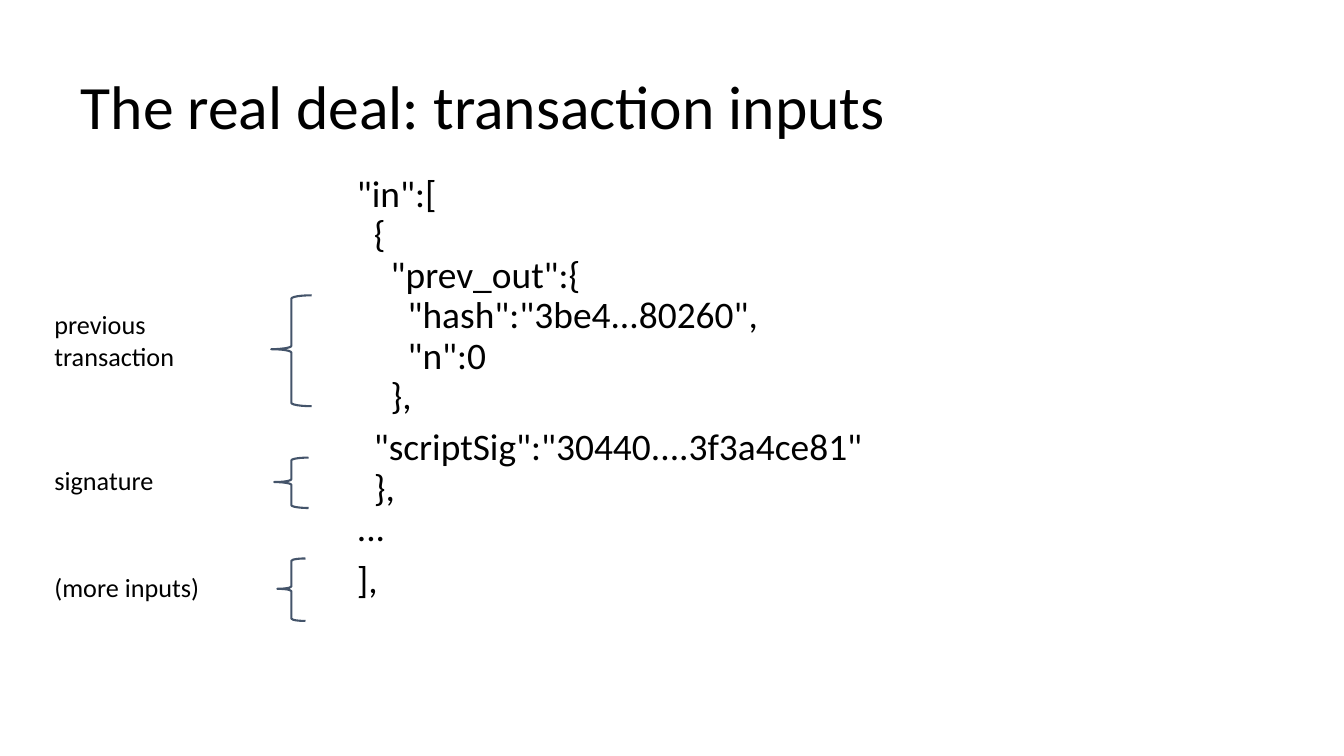
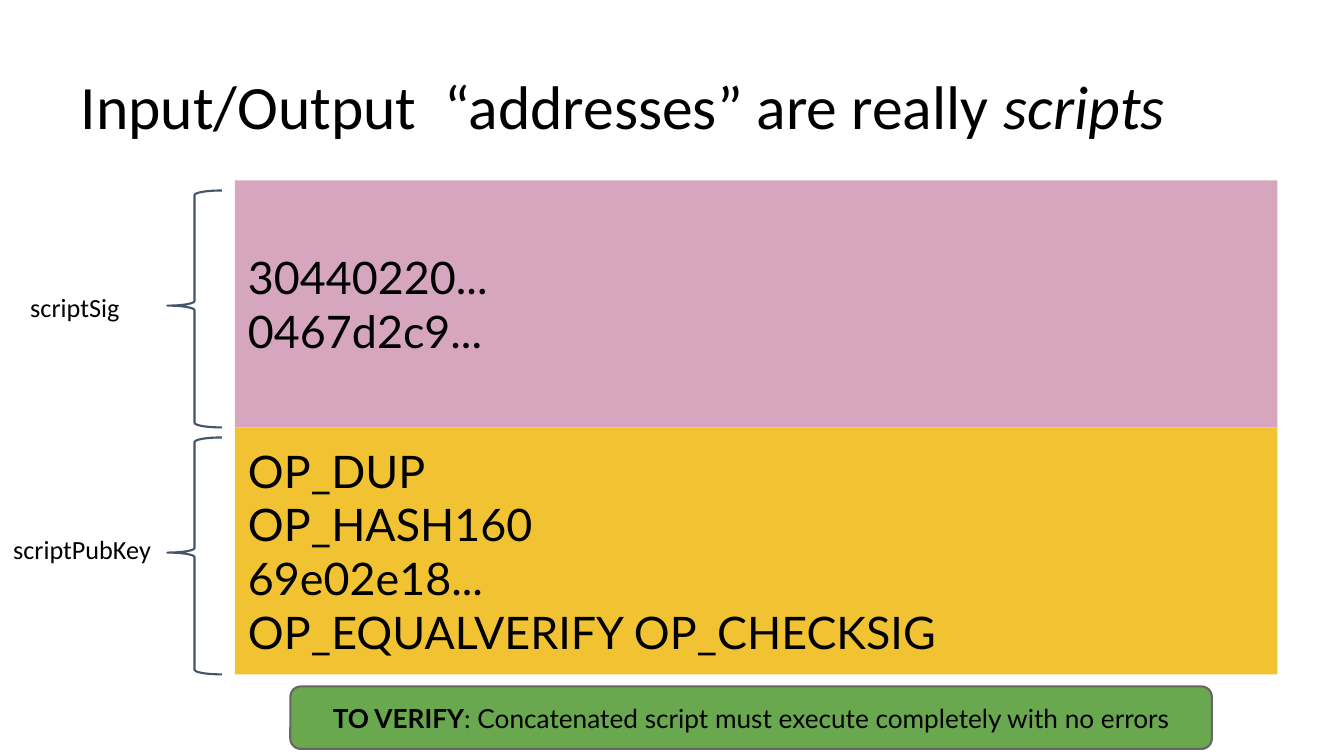
from pptx import Presentation
from pptx.dml.color import RGBColor
from pptx.enum.shapes import MSO_SHAPE
from pptx.enum.text import MSO_ANCHOR, PP_ALIGN
from pptx.util import Inches, Pt

RECTANGLE = MSO_SHAPE.RECTANGLE
ROUNDED = MSO_SHAPE.ROUNDED_RECTANGLE
LEFT_BRACE = MSO_SHAPE.LEFT_BRACE
TOP, MIDDLE, BOTTOM = MSO_ANCHOR.TOP, MSO_ANCHOR.MIDDLE, MSO_ANCHOR.BOTTOM
LEFT, CENTER = PP_ALIGN.LEFT, PP_ALIGN.CENTER

BLACK, SLATE, GRAY = "000000", "44546A", "666666"
PINK, GOLD, GREEN = "D5A6BD", "F1C232", "6AA84F"
TITLE = {"name": "Calibri", "size": Pt(44)}
CODE = {"name": "Calibri", "size": Pt(26.7)}
LABEL = {"name": "Calibri", "size": Pt(18.7)}
SCRIPT = {"name": "Lato", "size": Pt(32)}
NOTE = {"name": "Lato", "size": Pt(18.7)}
TIGHT = {"line_spacing": 0.9}
INSET = Inches(0.13)


def color(value):
    """Turn a hex string into a colour."""
    return RGBColor.from_string(value)


def apply(target, values):
    """Set every attribute named in a dict of format values."""
    for name, value in values.items():
        setattr(target, name, value)


def write(shape, paragraphs, font, layout=None, anchor=TOP, gap=0):
    """Fill a shape with paragraphs, each a list of (text, extra font values)."""
    frame = shape.text_frame
    apply(frame, {"word_wrap": True, "vertical_anchor": anchor,
                  "margin_left": INSET, "margin_right": INSET,
                  "margin_top": INSET, "margin_bottom": INSET})
    for index, spans in enumerate(paragraphs):
        para = frame.add_paragraph() if index else frame.paragraphs[0]
        apply(para, {"alignment": LEFT, **(layout or {})})
        if index and gap:
            para.space_before = Pt(gap)
        for text, extra in spans:
            for number, line in enumerate(text.split("\n")):
                if number:
                    para.add_line_break()
                span = para.add_run()
                span.text = line
                apply(span.font, {**font, **extra})
                span.font.color.rgb = color(BLACK)


def plain(*texts):
    """Make unformatted paragraphs from strings."""
    return [[(text, {})] for text in texts]


def add_text(page, box, paragraphs, font, **options):
    """Add a text box."""
    shape = page.shapes.add_textbox(*map(Inches, box))
    write(shape, paragraphs, font, **options)


def add_block(page, kind, box, fill=None, line=None):
    """Add a preset shape with optional fill and outline."""
    shape = page.shapes.add_shape(kind, *map(Inches, box))
    shape.shadow.inherit = False
    if fill:
        shape.fill.solid()
        shape.fill.fore_color.rgb = color(fill)
    else:
        shape.fill.background()
    if line:
        shape.line.color.rgb = color(line)
        shape.line.width = Pt(1.5)
    else:
        shape.line.fill.background()
    return shape


def add_brace(page, box):
    """Add a left brace pointing at a label."""
    brace = add_block(page, LEFT_BRACE, box, line=SLATE)
    brace.adjustments[0] = 0.083
    brace.adjustments[1] = 0.486


def add_page(deck, title):
    """Add a blank page with the shared title style."""
    page = deck.slides.add_slide(deck.slide_layouts[6])
    add_text(page, (0.67, 0.3, 12.32, 1.25), [title], TITLE,
             layout=TIGHT, anchor=BOTTOM)
    return page


def add_code(page, box):
    """Place the transaction input listing."""
    listing = plain(
        '"in":[\n  {\n    "prev_out":{\n      "hash":"3be4...80260",\n'
        '      "n":0\n    },',
        '  "scriptSig":"30440....3f3a4ce81"\n  },\n...',
        "],")
    add_text(page, box, listing, CODE, layout=TIGHT, gap=8)


def add_input_part(page, box, lines, brace_width, lift=0):
    """Place a label at the left of a box and a brace centred near its right."""
    left, top, width, height = box
    add_text(page, (left, top - lift, 1.94, 0.76), plain(*lines), LABEL)
    center = left + width
    add_brace(page, (center - brace_width / 2, top, brace_width, height))


def add_script_band(page, box, fill, lines, label, label_box):
    """Place a filled script band with a brace and a label to its left."""
    left, top, width, height = box
    band = add_block(page, RECTANGLE, box, fill)
    write(band, plain(*lines), SCRIPT, anchor=MIDDLE)
    add_brace(page, (left - 0.67, top + 0.1, 0.54, height - 0.1))
    label_left, label_drop, label_width = label_box
    add_text(page, (left + label_left, top + label_drop, label_width, 0.62),
             plain(label), LABEL)


def add_verify_note(page, box):
    """Place the rounded verification note."""
    note = add_block(page, ROUNDED, box, GREEN, GRAY)
    write(note, [[("TO VERIFY", {"bold": True}),
                  (": Concatenated script must execute completely with no errors",
                   {})]],
          NOTE, layout={"alignment": CENTER}, anchor=MIDDLE)


def build_inputs(deck):
    """Build the page on transaction inputs."""
    page = add_page(deck, [("The real deal: transaction inputs", {})])
    add_code(page, (3.41, 1.61, 9.5, 5.5))
    parts = [(2.93, 1.1, ["previous", "transaction"], 0.4, 0),
             (4.54, 0.5, ["signature"], 0.34, 0.06),
             (5.54, 0.62, ["(more inputs)"], 0.28, 0)]
    for top, height, lines, brace_width, lift in parts:
        add_input_part(page, (0.41, top, 2.48, height), lines, brace_width, lift)


def build_scripts(deck):
    """Build the page on scripts."""
    page = add_page(deck, [("Input/Output  “addresses” are really ", {}),
                           ("scripts", {"italic": True})])
    bands = [(PINK, ["30440220...", "0467d2c9..."],
              "scriptSig", (-2.16, 0.97, 1.35)),
             (GOLD, ["OP_DUP", "OP_HASH160", "69e02e18...",
                     "OP_EQUALVERIFY OP_CHECKSIG"],
              "scriptPubKey", (-2.33, 0.92, 1.95))]
    height = 2.45
    for index, band in enumerate(bands):
        add_script_band(page, (2.33, 1.79 + index * height, 10.34, height), *band)
    add_verify_note(page, (2.88, 6.81, 9.14, 0.62))


def main():
    """Build and save the deck."""
    deck = Presentation()
    deck.slide_width, deck.slide_height = Inches(13.33), Inches(7.5)
    build_inputs(deck)
    build_scripts(deck)
    deck.save("out.pptx")


if __name__ == "__main__":
    main()
